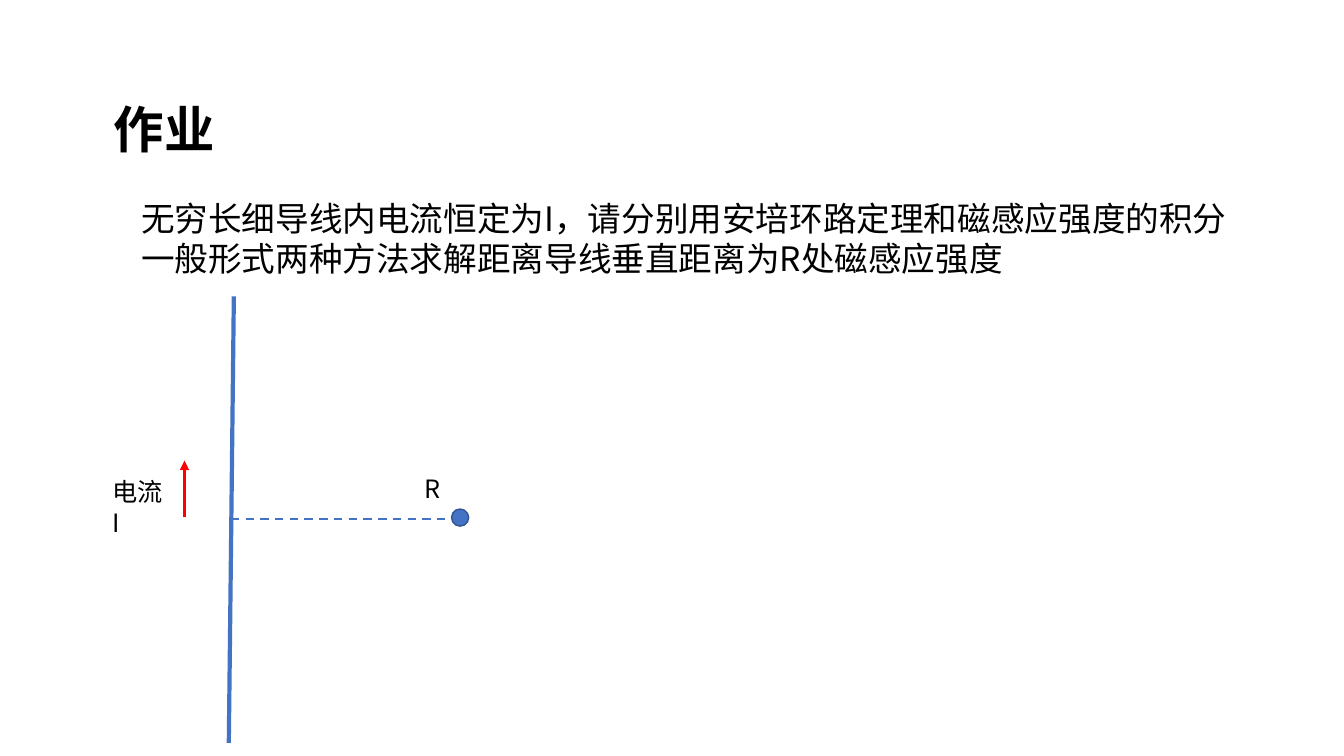
"""Builds a physics homework slide about the field of a long straight wire."""
from lxml.etree import SubElement
from pptx import Presentation
from pptx.dml.color import RGBColor
from pptx.enum.dml import MSO_LINE_DASH_STYLE as Dash
from pptx.enum.shapes import MSO_CONNECTOR as Connector, MSO_SHAPE as Shape
from pptx.enum.text import MSO_ANCHOR as Anchor, MSO_AUTO_SIZE as AutoSize, PP_ALIGN as Align
from pptx.oxml.ns import qn
from pptx.util import Inches, Pt

FONT = "Noto Sans CJK SC"
BLUE, DARK_BLUE, RED, BLACK = "4472C4", "325491", "FF0000", "000000"
COLUMNS, ROWS = 160, 90


def color(hex_string):
    return RGBColor.from_string(hex_string)


presentation = Presentation()
presentation.slide_width, presentation.slide_height = Inches(13.33), Inches(7.5)
column = presentation.slide_width / COLUMNS
row = presentation.slide_height / ROWS

slide = presentation.slides.add_slide(presentation.slide_layouts[1])
title, question = slide.placeholders
current_label, distance_label = (slide.shapes.add_textbox(0, 0, 0, 0) for _ in range(2))

texts = [
    (title, 12.36, 11.04, 19.08, 8.52, 36, True, ["作业"]),
    (question, 15.6, 22.92, 133.44, 10.92, 24, False,
     ["无穷长细导线内电流恒定为", "I", "，请分别用安培环路定理和磁感应强度的积分一般形式两种方法求解距离导线垂直距离为",
      "R", "处磁感应强度"]),
    (current_label, 12.24, 56.16, 9.24, 4.8, 18, False, ["电流", "I"]),
    (distance_label, 49.32, 55.8, 4.2, 4.8, 18, False, ["R"]),
]
for shape, left, top, width, height, size, bold, words in texts:
    shape.left, shape.top = round(left * column), round(top * row)
    shape.width, shape.height = round(width * column), round(height * row)
    frame = shape.text_frame
    frame.word_wrap, frame.auto_size, frame.vertical_anchor = True, AutoSize.NONE, Anchor.TOP
    paragraph = frame.paragraphs[0]
    paragraph.alignment = Align.LEFT
    paragraph.space_before = Pt(0)
    paragraph.line_spacing = Pt(1.2 * size)
    for word in words:
        run = paragraph.add_run()
        run.text = word
        run.font.name, run.font.size, run.font.bold = FONT, Pt(size), bold
        run.font.color.rgb = color(BLACK)
        SubElement(run.font._element, qn("a:ea"), typeface=FONT)

question_properties = question.text_frame.paragraphs[0]._p.get_or_add_pPr()
question_properties.set("marL", "0")
question_properties.set("indent", "0")
SubElement(question_properties, qn("a:buNone"))

lines = [
    (27.84, 35.28, 27.24, 88.44, BLUE, 3, None, False),
    (21.96, 61.56, 21.96, 54.84, RED, 2.25, None, True),
    (27.48, 61.8, 55.08, 61.8, BLUE, 1.5, Dash.DASH, False),
]
for x1, y1, x2, y2, line_color, weight, dash, arrow in lines:
    connector = slide.shapes.add_connector(
        Connector.STRAIGHT, round(x1 * column), round(y1 * row), round(x2 * column), round(y2 * row))
    connector.line.color.rgb = color(line_color)
    connector.line.width = Pt(weight)
    if dash:
        connector.line.dash_style = dash
    if arrow:
        SubElement(connector.line._get_or_add_ln(), qn("a:tailEnd"), type="triangle")
    SubElement(connector._element.spPr, qn("a:effectLst"))

field_point = slide.shapes.add_shape(
    Shape.OVAL, round(53.76 * column), round(60.6 * row), round(2.04 * column), round(2.04 * row))
field_point.shadow.inherit = False
field_point.fill.solid()
field_point.fill.fore_color.rgb = color(BLUE)
field_point.line.color.rgb = color(DARK_BLUE)
field_point.line.width = Pt(1)

presentation.save("out.pptx")
